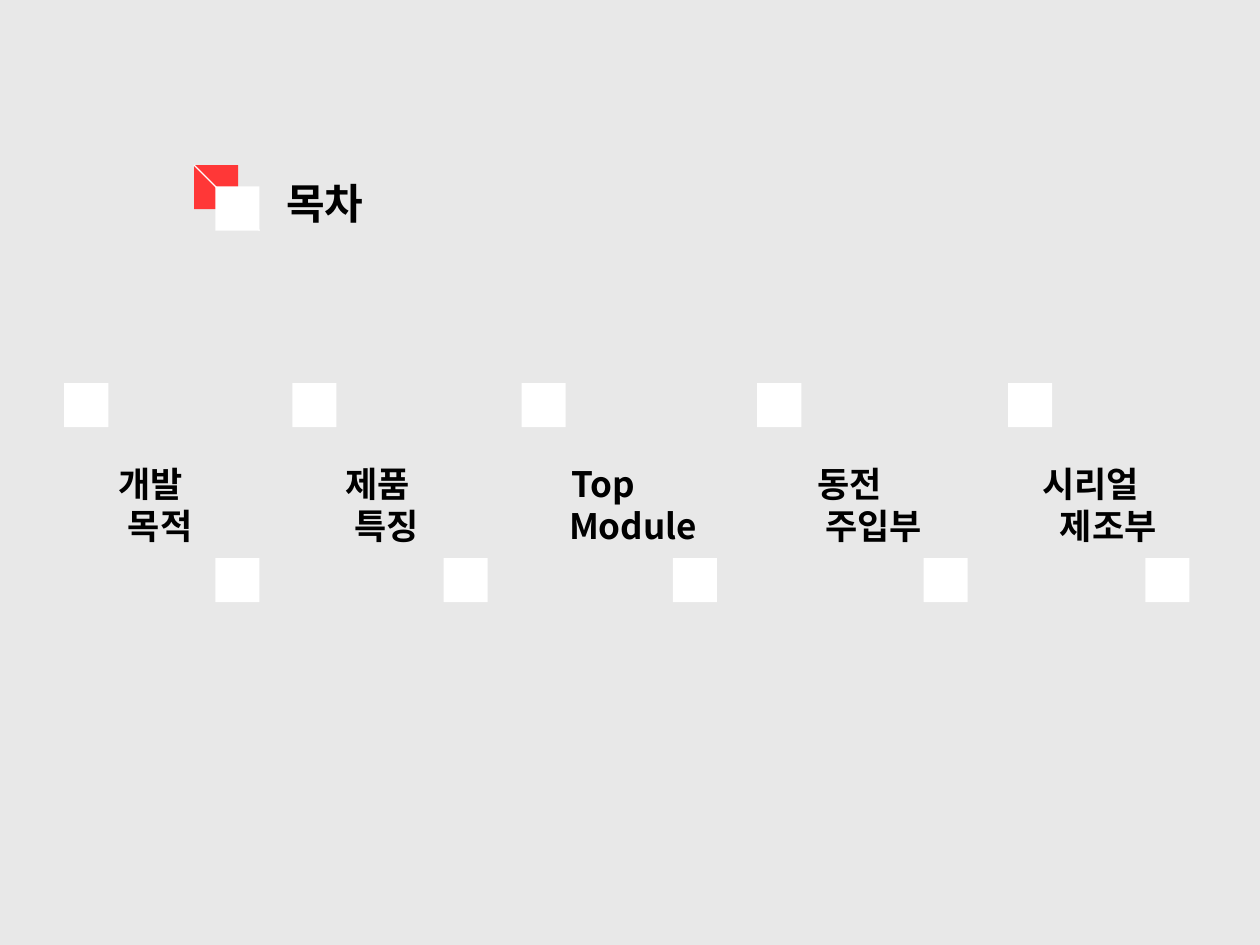
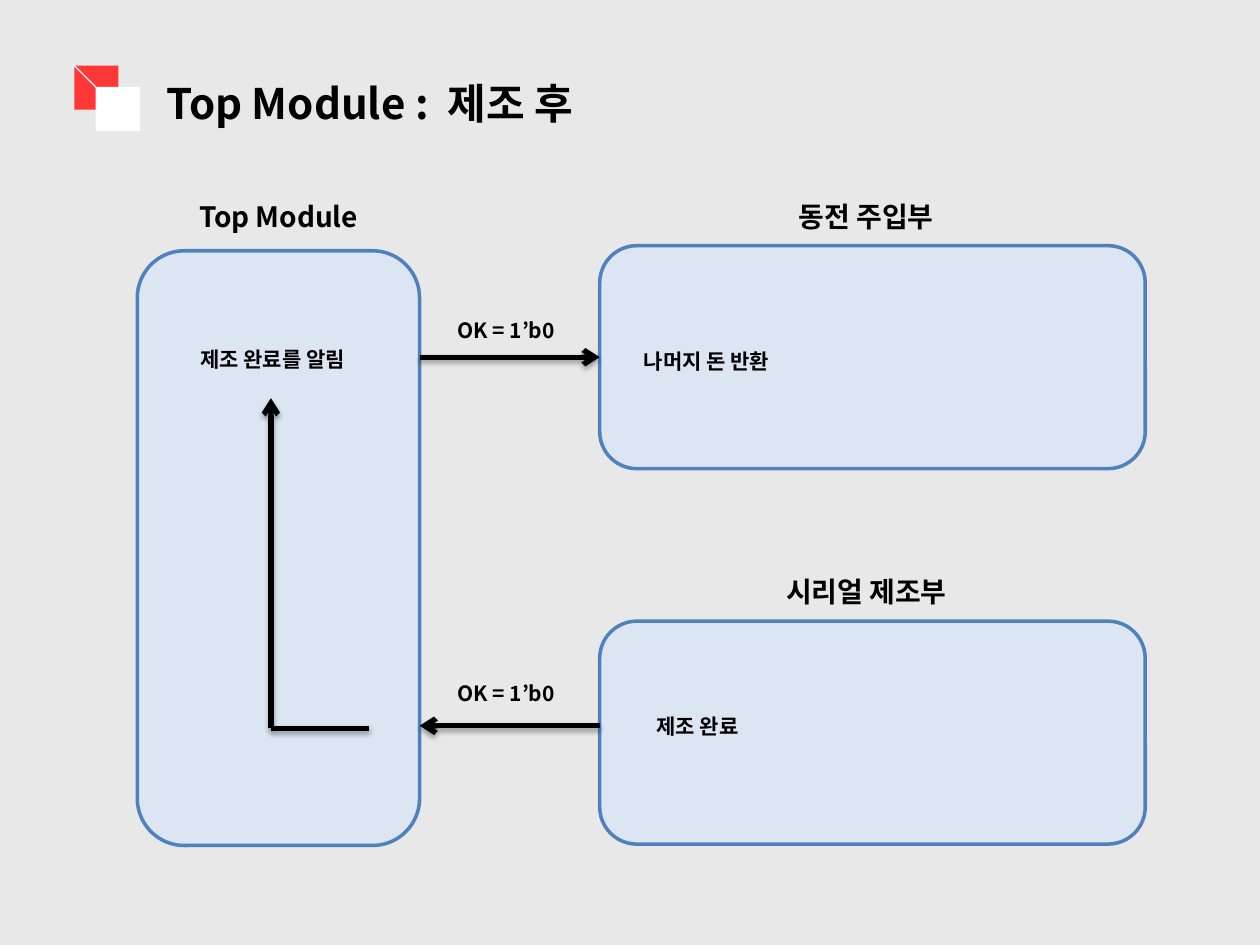
from lxml import etree
from pptx import Presentation
from pptx.dml.color import RGBColor
from pptx.enum import shapes, text
from pptx.oxml import parse_xml
from pptx.oxml.ns import qn
from pptx.util import Inches, Pt

HUES = {"back": "E8E8E8", "red": "FF3737", "white": "FFFFFF",
        "ink": "000000", "pale": "DCE6F2", "blue": "4F81BD"}
FONT = "Noto Sans CJK KR"
SIDE = 0.35
SHADE = ('<a:effectLst xmlns:a="http://schemas.openxmlformats.org/drawingml/2006/main">'
         '<a:outerShdw blurRad="38100" dist="22860" dir="5400000" rotWithShape="0">'
         '<a:srgbClr val="{}"><a:alpha val="35000"/></a:srgbClr>'
         '</a:outerShdw></a:effectLst>')


def hue(name):
    """Return the named colour."""
    return RGBColor.from_string(HUES[name])


def write(shape, lines, size, align="LEFT", wrap=False, shift=0):
    """Write bold lines into a shape, with later lines indented by shift."""
    frame = shape.text_frame
    frame.word_wrap = wrap
    frame.auto_size = text.MSO_AUTO_SIZE.NONE
    frame.vertical_anchor = text.MSO_ANCHOR.TOP
    frame.margin_left = frame.margin_right = frame.margin_bottom = Inches(0.05)
    frame.margin_top = Inches(0.05) + Pt(0.08 * size)
    for row, line in enumerate(lines):
        para = frame.add_paragraph() if row else frame.paragraphs[0]
        para.alignment = text.PP_ALIGN[align]
        para.line_spacing = Pt(1.2 * size)
        para.space_before = Pt(0)
        if row:
            para._p.get_or_add_pPr().set("marL", str(Inches(shift)))
        run = para.add_run()
        run.text = line
        font = run.font
        font.name, font.size, font.bold = FONT, Pt(size), True
        font.color.rgb = hue("ink")
        etree.SubElement(font._element, qn("a:ea"), typeface=FONT)


def label(slide, x, y, wide, high, lines, size, **style):
    """Add a text box."""
    box = slide.shapes.add_textbox(*map(Inches, (x, y, wide, high)))
    write(box, lines, size, **style)


def block(slide, kind, x, y, wide, high, fill, edge=None):
    """Add a filled shape, outlined when an edge colour is given."""
    shape = slide.shapes.add_shape(kind, *map(Inches, (x, y, wide, high)))
    shape.shadow.inherit = False
    shape.fill.solid()
    shape.fill.fore_color.rgb = hue(fill)
    if edge:
        shape.line.color.rgb = hue(edge)
        shape.line.width = Pt(2)
    else:
        shape.line.fill.background()
    return shape


def square(slide, x, y, fill="white"):
    """Add a small accent square."""
    block(slide, shapes.MSO_SHAPE.RECTANGLE, x, y, SIDE, SIDE, fill)


def wire(slide, start, end, color="ink", width=3, head=False, shade=True):
    """Add a straight line, with an arrowhead and shadow on request."""
    line = slide.shapes.add_connector(
        shapes.MSO_CONNECTOR.STRAIGHT, *map(Inches, (*start, *end)))
    line.line.color.rgb = hue(color)
    line.line.width = Pt(width)
    if head:
        etree.SubElement(line.line._get_or_add_ln(), qn("a:tailEnd"), type="arrow")
    props = line._element.spPr
    if shade:
        props.append(parse_xml(SHADE.format(HUES["ink"])))
    else:
        etree.SubElement(props, qn("a:effectLst"))
    return line


def start(deck, x, y, wide, name):
    """Add a slide with the square mark and its title at x, y."""
    slide = deck.slides.add_slide(deck.slide_layouts[5])
    slide.background.fill.solid()
    slide.background.fill.fore_color.rgb = hue("back")
    square(slide, x, y, "red")
    square(slide, x + 0.17, y + 0.17)
    wire(slide, (x, y), (x + 0.52, y + 0.52), "white", 0.75, shade=False)
    title = slide.shapes.title
    title.left, title.top = Inches(x + 0.68), Inches(y + 0.02)
    title.width, title.height = Inches(wide), Inches(0.5)
    write(title, [name], 24)
    return slide


def topic(slide, x, y, step, inset, wide, lines, shift):
    """Add one agenda topic between two diagonal squares."""
    square(slide, x, y)
    square(slide, x + step, y + 1.39)
    label(slide, x + inset, y + 0.56, wide, 0.77, lines, 20,
          align="CENTER", wrap=True, shift=shift)


def agenda(deck):
    """Build the agenda slide."""
    slide = start(deck, 1.54, 1.31, 0.77, "목차")
    topics = [
        (0.51, 1.2, 0.18, 1.01, ["개발", "목적"], 0.15),
        (2.32, 1.2, 0.17, 1.01, ["제품", "특징"], 0.15),
        (4.14, 1.2, -0.35, 1.99, ["Top", "Module"], 0.48),
        (6.01, 1.32, -0.12, 1.71, ["동전", "주입부"], 0.38),
        (8, 1.09, -0.14, 1.59, ["시리얼", "제조부"], 0.28),
    ]
    for x, *rest in topics:
        topic(slide, x, 3.04, *rest)


def module(slide, x, y, wide, high, name, inset, rise, note, dx, dy):
    """Add a rounded module box with its name above and a note inside."""
    kind = shapes.MSO_SHAPE.FLOWCHART_ALTERNATE_PROCESS
    box = block(slide, kind, x, y, wide, high, "pale", "blue")
    label(slide, x + inset, y - rise, 1.5, 0.37, [name], 16)
    label(slide, x + dx, y + dy, 1.4, 0.3, [note], 12)
    return box


def flow(deck):
    """Build the slide on signals after production."""
    slide = start(deck, 0.59, 0.52, 3.52, "Top Module :  제조 후")
    left, right, wide, high = 3.33, 4.76, 4.33, 1.77
    module(slide, 1.09, 1.99, 2.24, 4.72, "Top Module", 0.44, 0.47,
           "제조 완료를 알림", 0.45, 0.7)
    coin = module(slide, right, 1.95, wide, high, "동전 주입부", 1.53, 0.43,
                  "나머지 돈 반환", 0.3, 0.75)
    module(slide, right, 4.93, wide, high, "시리얼 제조부", 1.43, 0.44,
           "제조 완료", 0.4, 0.67)
    middle = 1.95 + high / 2
    wire(slide, (left, middle), (right, middle), head=True).end_connect(coin, 1)
    wire(slide, (right, 5.76), (left, 5.76), head=True)
    for y in (2.46, 5.34):
        label(slide, left + 0.25, y, 0.93, 0.3, ["OK = 1’b0"], 12)
    turn = (2.15, 5.78)
    wire(slide, turn, (2.15, 3.16), head=True)
    wire(slide, turn, (2.93, 5.78))


def main():
    """Build and save the deck."""
    deck = Presentation()
    deck.slide_width, deck.slide_height = Inches(10), Inches(7.5)
    agenda(deck)
    flow(deck)
    deck.save("out.pptx")


if __name__ == "__main__":
    main()
